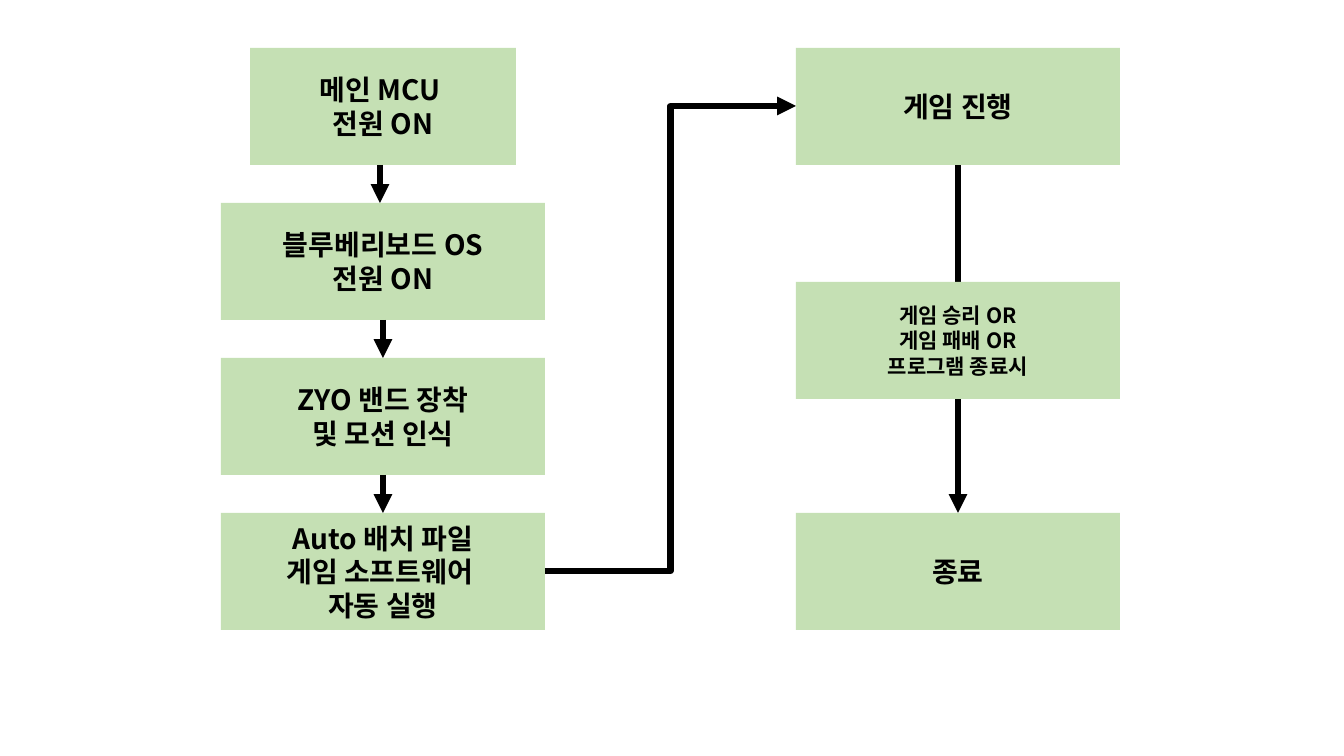
from lxml.etree import SubElement
from pptx import Presentation
from pptx.dml.color import RGBColor
from pptx.enum.shapes import MSO_CONNECTOR, MSO_SHAPE
from pptx.enum.text import MSO_ANCHOR, PP_ALIGN
from pptx.oxml.ns import qn
from pptx.util import Emu, Inches, Pt

FONT = "Noto Sans CJK KR"
GREEN, BLACK = "C5E0B4", "000000"


def pixels(value):
    return Emu(round(value * Inches(1) / 100.8))


def color(hex_string):
    return RGBColor.from_string(hex_string)


class FlowChart:
    def __init__(self, page):
        self.page = page

    def step(self, left, top, width, height, lines, size=20):
        box = self.page.shapes.add_shape(
            MSO_SHAPE.RECTANGLE, *map(pixels, (left, top, width, height)))
        box.shadow.inherit = False
        box.fill.solid()
        box.fill.fore_color.rgb = color(GREEN)
        box.line.fill.background()
        frame = box.text_frame
        frame.word_wrap = True
        frame.vertical_anchor = MSO_ANCHOR.MIDDLE
        frame.text = "\n".join(lines)
        for para in frame.paragraphs:
            para.alignment = PP_ALIGN.CENTER
            font = para.font
            font.name, font.size, font.bold = FONT, Pt(size), True
            font.color.rgb = color(BLACK)
            # Korean glyphs take the East Asian typeface
            properties = para._p.pPr.find(qn("a:defRPr"))
            SubElement(properties, qn("a:ea")).set("typeface", FONT)

    def arrow(self, start, end, kind=MSO_CONNECTOR.STRAIGHT):
        connector = self.page.shapes.add_connector(
            kind, *map(pixels, (*start, *end)))
        connector.line.color.rgb = color(BLACK)
        connector.line.width = Pt(4.5)
        outline = connector.line._get_or_add_ln()
        SubElement(outline, qn("a:tailEnd")).set("type", "triangle")
        SubElement(connector._element.spPr, qn("a:effectLst"))


deck = Presentation()
deck.slide_width, deck.slide_height = pixels(1344), pixels(756)
chart = FlowChart(deck.slides.add_slide(deck.slide_layouts[6]))

# Grid: two columns, four rows
WIDTH, HEIGHT = 324, 117
LEFT, RIGHT = 221, 796
rows = [48 + 155 * row for row in range(4)]
left_center, right_center = LEFT + WIDTH // 2, RIGHT + WIDTH // 2
first_middle, last_middle = rows[0] + HEIGHT // 2, rows[-1] + HEIGHT // 2

# Start-up steps; the first box is narrower
startup = [
    (250, 266, ["메인 MCU ", "전원 ON"]),
    (LEFT, WIDTH, ["블루베리보드 OS", "전원 ON"]),
    (LEFT, WIDTH, ["ZYO 밴드 장착", "및 모션 인식"]),
    (LEFT, WIDTH, ["Auto 배치 파일", "게임 소프트웨어 ", "자동 실행"]),
]
for top, (left, width, lines) in zip(rows, startup):
    chart.step(left, top, width, HEIGHT, lines)

# Arrows down the start-up column; the first sits slightly left
for center, top, below in zip((380, left_center, left_center), rows, rows[1:]):
    chart.arrow((center, top + HEIGHT), (center, below))

# Arrows into and down the game column
chart.arrow((LEFT + WIDTH, last_middle), (RIGHT, first_middle),
            MSO_CONNECTOR.ELBOW)
chart.arrow((right_center, rows[0] + HEIGHT), (right_center, rows[-1]))

# Game steps; the end condition covers the long arrow
chart.step(RIGHT, rows[0], WIDTH, HEIGHT, ["게임 진행"])
chart.step(RIGHT, rows[-1], WIDTH, HEIGHT, ["종료"])
chart.step(RIGHT, 282, WIDTH, HEIGHT,
           ["게임 승리 OR", "게임 패배 OR", "프로그램 종료시"], size=15)

deck.save("out.pptx")
